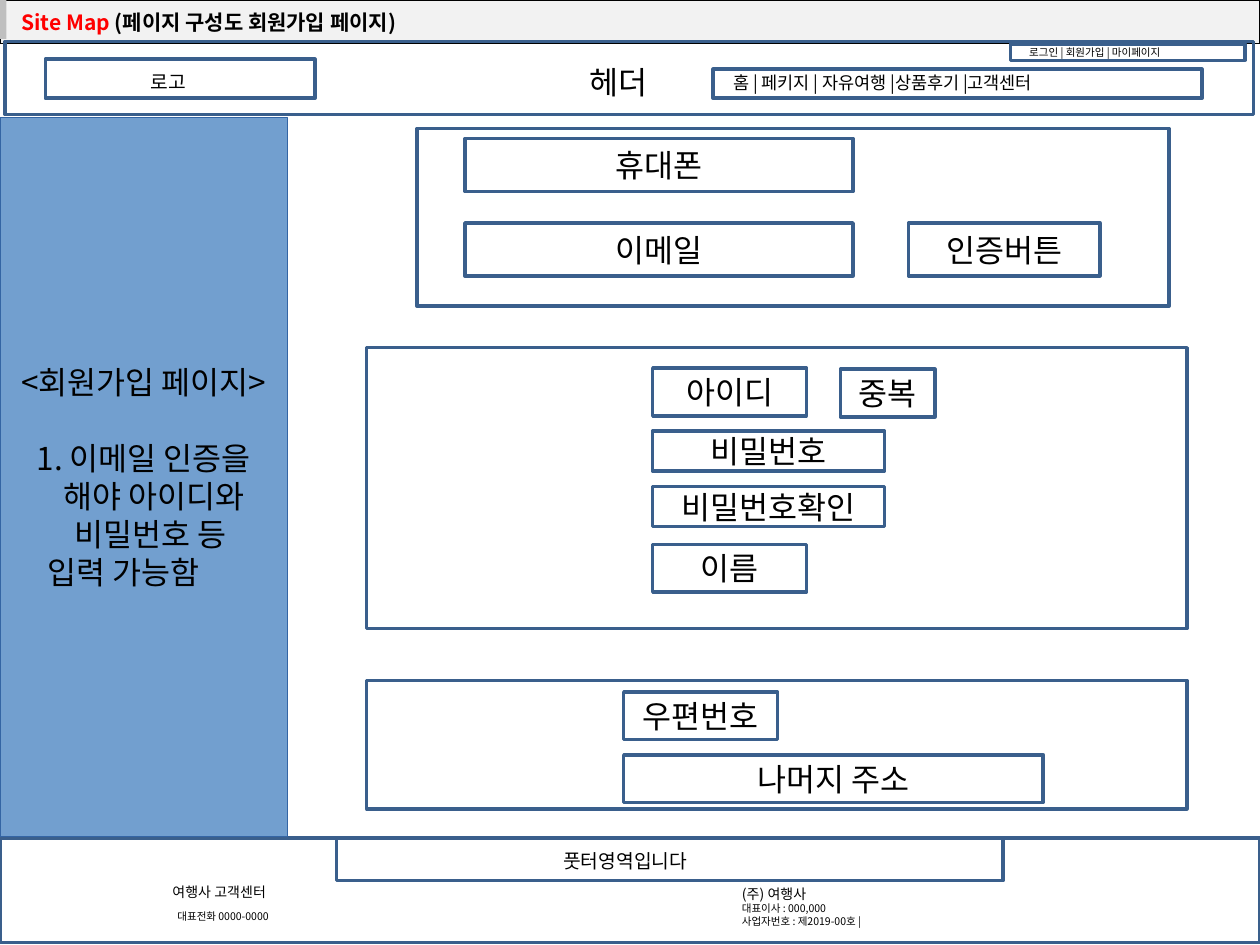
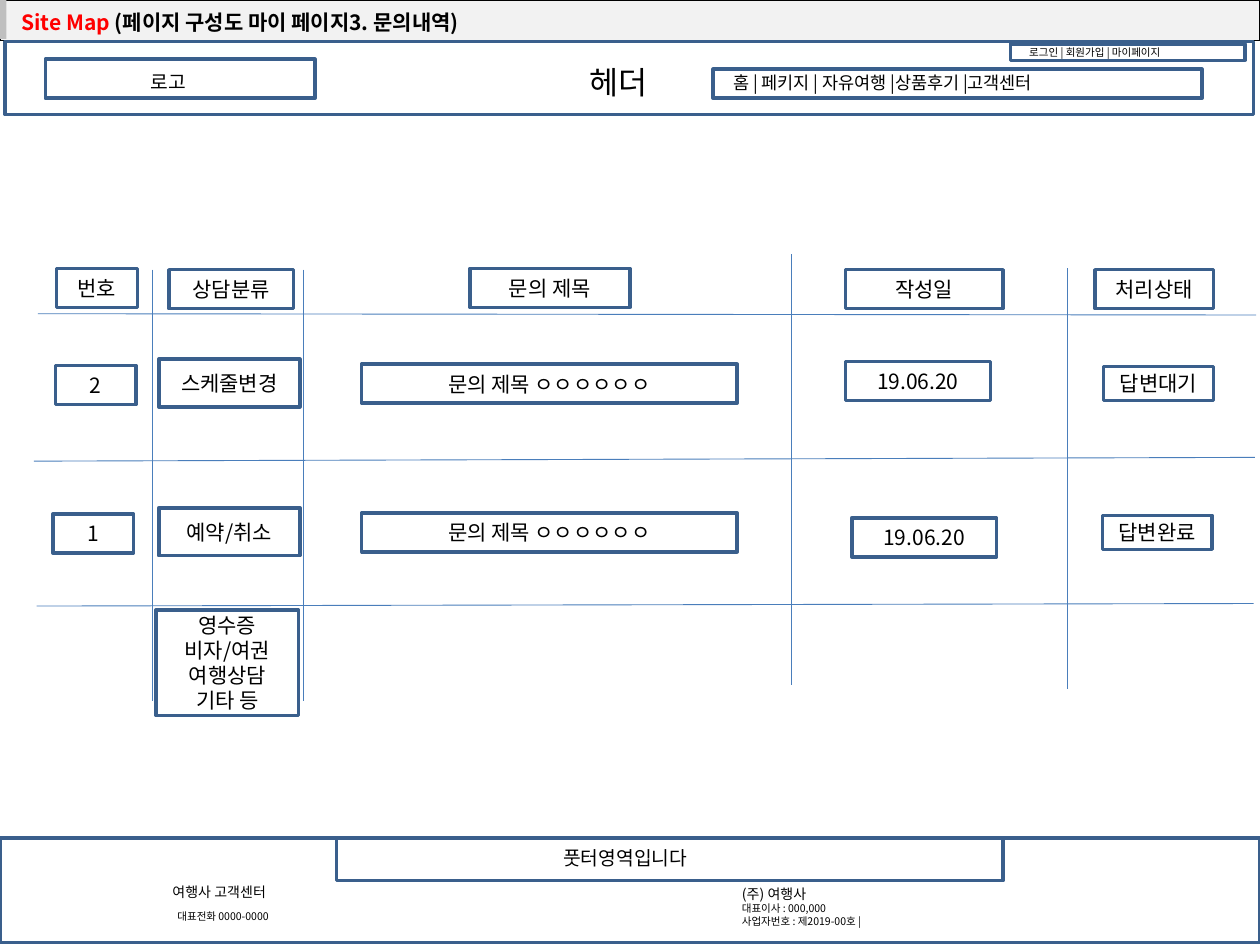
from lxml.etree import SubElement as Sub
from pptx import Presentation
from pptx.dml.color import RGBColor as RGB
from pptx.enum.shapes import MSO_CONNECTOR as Link, MSO_SHAPE as Kind
from pptx.enum.text import MSO_ANCHOR as Anchor, PP_ALIGN as Align
from pptx.oxml.ns import qn
from pptx.util import Inches, Pt

FONT = "Noto Sans CJK KR"
BLACK = RGB(0x00, 0x00, 0x00)
WHITE = RGB(0xFF, 0xFF, 0xFF)
RED = RGB(0xFF, 0x00, 0x00)
PALE = RGB(0xF2, 0xF2, 0xF2)
GREY = RGB(0xBF, 0xBF, 0xBF)
NAVY = RGB(0x3A, 0x5F, 0x8C)
RULE = RGB(0x4A, 0x7E, 0xBB)
BLUE = RGB(0x72, 0x9F, 0xCF)
EDGE = RGB(0x34, 0x65, 0xA4)

# The grid has 100 columns and 75 rows of equal size
COLS, ROWS = 100, 75
UNIT = Inches(0.1)


def grid(*nums):
    return [round(num * UNIT) for num in nums]


def write(par, text, size=12, color=BLACK, bold=False, align=Align.LEFT,
          indent=0, gap=0):
    """Add a run to a paragraph; indent is in columns, gap in points."""
    par.alignment = align
    if indent:
        par._p.get_or_add_pPr().set("marL", str(grid(indent)[0]))
    if gap:
        par.space_before = Pt(gap)
    run = par.add_run()
    run.text = text
    font = run.font
    font.size, font.bold, font.name = Pt(size), bold, FONT
    font.color.rgb = color
    Sub(run._r.get_or_add_rPr(), qn("a:ea"), typeface=FONT)


class Page:
    def __init__(self, deck):
        self.slide = deck.slides.add_slide(deck.slide_layouts[6])
        self.host = self.slide.shapes

    def group(self):
        self.host = self.slide.shapes.add_group_shape().shapes

    def ungroup(self):
        self.host = self.slide.shapes

    def fill_text(self, shape, lines, wrap=True, anchor=Anchor.TOP, inset=1,
                  **style):
        """Each line is a text, or a text with its own format."""
        frame = shape.text_frame
        frame.word_wrap, frame.vertical_anchor = wrap, anchor
        frame.margin_left = frame.margin_right = grid(inset)[0]
        for num, line in enumerate(lines):
            text, own = (line, {}) if isinstance(line, str) else line
            par = frame.add_paragraph() if num else frame.paragraphs[0]
            write(par, text, **{**style, **own})

    def rect(self, *place, fill=None, line=NAVY, width=2, lines=(), **style):
        shape = self.host.add_shape(Kind.RECTANGLE, *grid(*place))
        shape.shadow.inherit = False
        if fill is None:
            shape.fill.background()
        else:
            shape.fill.solid()
            shape.fill.fore_color.rgb = fill
        if line is None:
            shape.line.fill.background()
        else:
            shape.line.color.rgb = line
            shape.line.width = Pt(width)
        if lines:
            self.fill_text(shape, lines, **style)

    def field(self, *place, lines, size):
        self.rect(*place, fill=WHITE, lines=lines, size=size,
                  align=Align.CENTER, anchor=Anchor.MIDDLE)

    def label(self, *place, lines, **style):
        self.fill_text(self.host.add_textbox(*grid(*place)), lines, **style)

    def rule(self, *ends):
        line = self.host.add_connector(Link.STRAIGHT, *grid(*ends))
        line.line.color.rgb = RULE
        line.line.width = Pt(0.5)
        Sub(line._element.spPr, qn("a:effectLst"))

    def title(self, name):
        frame = self.host.add_table(1, 1, *grid(0, 0, COLS, 3.2))
        table = frame.table
        table.first_row = table.horz_banding = False
        cell = table.cell(0, 0)
        cell.margin_left = grid(1.7)[0]
        props = cell._tc.get_or_add_tcPr()
        for side in ("a:lnL", "a:lnR", "a:lnT", "a:lnB"):
            edge = Sub(props, qn(side), w=str(Pt(0.75)))
            Sub(Sub(edge, qn("a:solidFill")), qn("a:srgbClr"), val=str(BLACK))
        cell.fill.solid()
        cell.fill.fore_color.rgb = PALE
        par = cell.text_frame.paragraphs[0]
        write(par, "Site Map ", color=RED, bold=True)
        write(par, name, bold=True)
        self.rect(0, 0, 0.5, 3.1, fill=GREY, line=None)

    def header(self):
        self.group()
        self.rect(80.7, 3.2, 17.9, 2, line=WHITE, width=0.75, size=6,
                  lines=["로그인 | 회원가입 | 마이페이지"])
        self.rect(0.4, 3.3, 99.1, 5.8)
        self.rect(45.8, 4.5, 7, 4, line=WHITE, width=0.75, size=18,
                  wrap=False, lines=["헤더"])
        self.rect(3.6, 4.7, 21.4, 3.1)
        self.rect(56.6, 5.5, 38.8, 2.3)
        self.label(11, 5.1, 5, 2.8, lines=["로고"], size=11, wrap=False)
        self.label(57.2, 5.2, 40.5, 2.7, size=10,
                   lines=["홈 | 페키지 | 자유여행 |상품후기 |고객센터"])
        self.rect(80.2, 3.5, 18.6, 1.3)
        self.ungroup()

    def footer(self, top):
        self.group()
        self.rect(26.7, 66.5, 52.9, 3.4)
        self.rect(43.7, top, 13.2, 2.8, line=WHITE, width=0.75, size=11,
                  lines=["풋터영역입니다"])
        self.rect(0, 66.5, COLS, 8.3)
        self.label(12.7, 69.6, 20.3, 4.3, size=8, lines=[
            "여행사 고객센터",
            ("대표전화 0000-0000", dict(size=6, indent=0.4, gap=6))])
        self.label(57.9, 69.8, 29.4, 4.3, size=6, lines=[
            ("(주) 여행사", dict(size=8)),
            "대표이사 : 000,000", "사업자번호 : 제2019-00호 |"])
        self.ungroup()


def join_page(deck):
    page = Page(deck)
    page.title("(페이지 구성도 회원가입 페이지)")
    page.header()
    page.footer(66.9)

    # Frames of the three form parts
    for place in ((33.1, 10.2, 59.7, 14.1), (29.1, 27.6, 65.1, 22.3),
                  (29.1, 54, 65.1, 10.2)):
        page.rect(*place, fill=WHITE)

    # Form fields and buttons
    for text, *place in (
            ("휴대폰", 36.9, 11, 30.8, 4.2),
            ("이메일", 36.9, 17.7, 30.8, 4.2),
            ("인증버튼", 72.1, 17.7, 15.2, 4.2),
            ("아이디", 51.8, 29.2, 12.2, 3.8),
            ("중복", 66.7, 29.3, 7.5, 3.8),
            ("비밀번호", 51.8, 34.2, 18.4, 3.2),
            ("비밀번호확인", 51.8, 38.6, 18.4, 3.2),
            ("이름", 51.8, 43.2, 12.2, 3.8),
            ("우편번호", 49.5, 54.9, 12.2, 3.8),
            ("나머지 주소", 49.5, 59.9, 33.3, 3.8)):
        page.field(*place, lines=[text], size=18)

    # Side note
    page.rect(0, 9.3, 22.8, 57.1, fill=BLUE, line=EDGE, width=0.75, size=18,
              align=Align.CENTER, anchor=Anchor.MIDDLE, inset=0, lines=[
                  "<회원가입 페이지>",
                  ("1. 이메일 인증을", dict(gap=22)),
                  ("해야 아이디와", dict(indent=1.6)),
                  ("비밀번호 등", dict(indent=1.1)),
                  ("입력 가능함", dict(indent=3.8, align=Align.LEFT))])


def query_page(deck):
    page = Page(deck)
    page.title("(페이지 구성도 마이 페이지3. 문의내역)")
    page.header()
    page.footer(66.7)

    # Rules between rows and columns
    for ends in ((3, 24.9, 99.7, 25), (2.7, 36.6, 99.6, 36.3),
                 (2.9, 48.1, 99.5, 47.9)):
        page.rule(*ends)
    for left, top, end in ((12.1, 21.4, 55.6), (24.1, 21.4, 55.6),
                           (62.8, 20.2, 54.4), (84.7, 21.3, 54.7)):
        page.rule(left, top, left, end)

    # Column heads, then the two queries
    for text, *place in (
            ("번호", 4.5, 21.3, 6.4, 3.1),
            ("상담분류", 13.4, 21.4, 9.9, 3.1),
            ("문의 제목", 37.3, 21.3, 12.7, 3.1),
            ("작성일", 67.1, 21.4, 12.5, 3.1),
            ("처리상태", 86.9, 21.4, 9.4, 3.1),
            ("2", 4.4, 29, 6.4, 3.1),
            ("스케줄변경", 12.6, 28.5, 11.2, 3.8),
            ("문의 제목 ㅇㅇㅇㅇㅇㅇ", 28.7, 28.9, 29.8, 3.1),
            ("19.06.20", 67.1, 28.7, 11.5, 3.1),
            ("답변대기", 87.6, 29.1, 8.7, 2.7),
            ("1", 4.2, 40.8, 6.4, 3.1),
            ("예약/취소", 12.6, 40.3, 11.2, 3.8),
            ("문의 제목 ㅇㅇㅇㅇㅇㅇ", 28.7, 40.7, 29.8, 3.1),
            ("19.06.20", 67.6, 41.1, 11.5, 3.1),
            ("답변완료", 87.5, 40.9, 8.7, 2.7)):
        page.field(*place, lines=[text], size=12)

    # Other kinds of query
    page.field(12.4, 48.4, 11.3, 8.4, size=12,
               lines=["영수증", "비자/여권", "여행상담", "기타 등"])


def main():
    deck = Presentation()
    deck.slide_width, deck.slide_height = grid(COLS, ROWS)
    join_page(deck)
    query_page(deck)
    deck.save("out.pptx")


if __name__ == "__main__":
    main()
